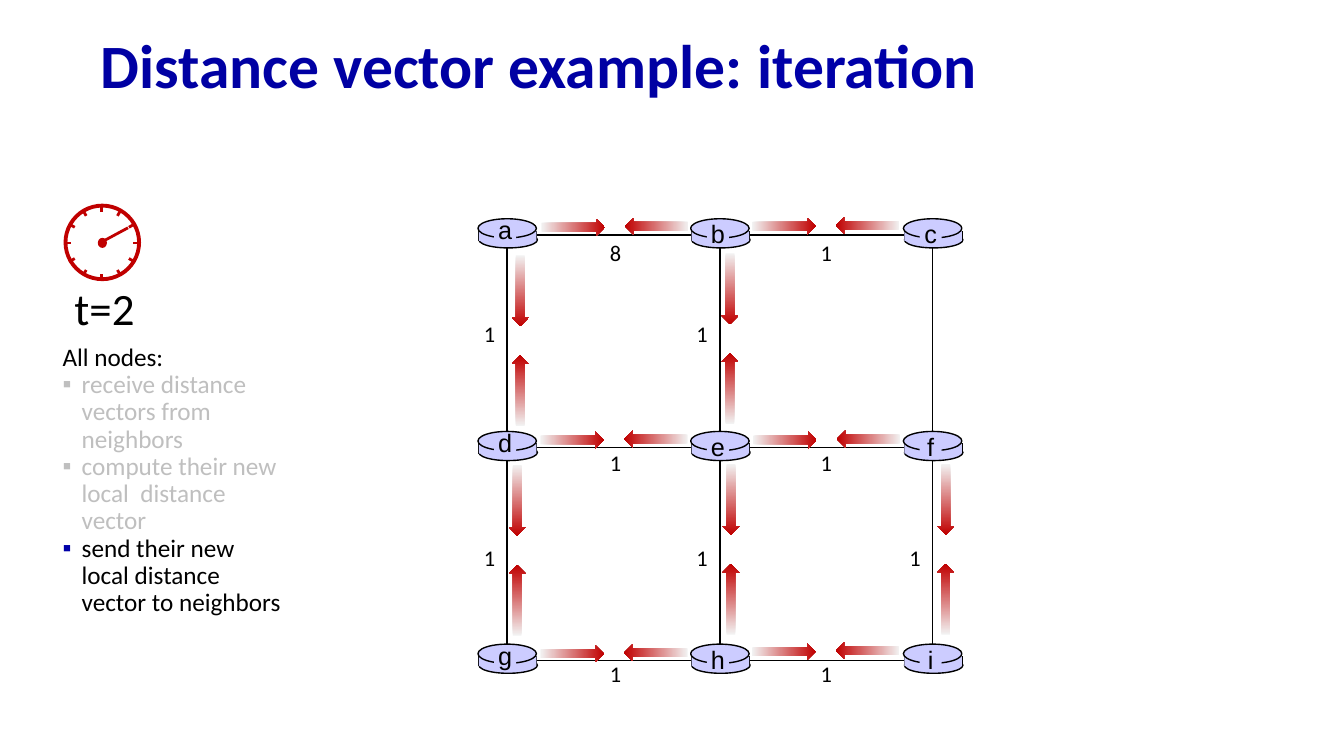
from math import cos, radians, sin

from lxml.etree import SubElement
from pptx import Presentation
from pptx.dml.color import RGBColor
from pptx.enum.shapes import MSO_CONNECTOR as CONN, MSO_SHAPE as SHAPE
from pptx.enum.text import MSO_ANCHOR as ANCHOR, MSO_AUTO_SIZE as AUTO, PP_ALIGN as ALIGN
from pptx.oxml.ns import qn
from pptx.util import Inches, Pt

BLACK = RGBColor(0x00, 0x00, 0x00)
NAVY = RGBColor(0x00, 0x00, 0xA3)
BLUE = RGBColor(0x00, 0x00, 0xA8)
GRAY = RGBColor(0xBF, 0xBF, 0xBF)
PALE = RGBColor(0xF2, 0xF2, 0xF2)
RED = RGBColor(0xC0, 0x00, 0x00)
LILAC = RGBColor(0xCC, 0xCC, 0xFF)

GRID_X, GRID_Y, STEP = 5.03, 2.33, 2.11
NODES = ["abc", "def", "ghi"]
COSTS_ACROSS = [["8", "1"], ["1", "1"], ["1", "1"]]
COSTS_DOWN = [["1", "1", ""], ["1", "1", "1"]]
# Corner of the first arrow of each pair that meets on a link
PAIRS_ACROSS = [(5.37, 2.17), (7.46, 2.16), (5.36, 4.28),
                (7.47, 4.28), (5.36, 6.4), (7.46, 6.38)]
PAIRS_DOWN = [(4.81, 2.8), (6.89, 2.78), (4.78, 4.88), (6.9, 4.87), (9.03, 4.87)]
TASKS = [("receive distance vectors from neighbors", GRAY, GRAY),
         ("compute their new local  distance vector", GRAY, GRAY),
         ("send their new local distance vector to neighbors", BLACK, BLUE)]


def set_attrs(target, values):
    for name, value in values.items():
        setattr(target, name, value)


def place(shape, x, y, w, h):
    set_attrs(shape, {"left": Inches(x), "top": Inches(y),
                      "width": Inches(w), "height": Inches(h)})


def add_run(p, text, size, color, font="Calibri", bold=False):
    r = p.add_run()
    r.text = text
    set_attrs(r.font, {"name": font, "size": Pt(size), "bold": bold})
    r.font.color.rgb = color


def add_label(s, x, y, w, h, text, size, font="Calibri", align=ALIGN.LEFT):
    tf = s.shapes.add_textbox(Inches(x), Inches(y), Inches(w), Inches(h)).text_frame
    tf.word_wrap = False
    tf.paragraphs[0].alignment = align
    add_run(tf.paragraphs[0], text, size, BLACK, font)


def add_block(s, kind, x, y, w, h, fill=None, line=None, width=1):
    sp = s.shapes.add_shape(kind, Inches(x), Inches(y), Inches(w), Inches(h))
    sp.shadow.inherit = False
    if fill is None:
        sp.fill.background()
    else:
        sp.fill.solid()
        sp.fill.fore_color.rgb = fill
    if line is None:
        sp.line.fill.background()
    else:
        sp.line.color.rgb = line
        sp.line.width = Pt(width)
    return sp


def add_line(s, x1, y1, x2, y2, color=BLACK, width=1):
    c = s.shapes.add_connector(CONN.STRAIGHT, Inches(x1), Inches(y1), Inches(x2), Inches(y2))
    c.line.color.rgb = color
    c.line.width = Pt(width)
    SubElement(c._element.spPr, qn("a:effectLst"))
    return c


def add_arrow(s, x, y, length, rotation):
    sp = add_block(s, SHAPE.RIGHT_ARROW, x, y, length, 0.17)
    sp.rotation = rotation
    sp.fill.gradient()
    sp.fill.gradient_angle = 0
    for stop, position, color in zip(sp.fill.gradient_stops, (0, 1), (PALE, RED)):
        stop.position = position
        stop.color.rgb = color


def add_router(s, x, y, letter, lift):
    add_block(s, SHAPE.OVAL, x + 0.01, y + 0.13, 0.58, 0.16, LILAC, BLACK)
    for side in (x + 0.01, x + 0.58):
        add_line(s, side, y + 0.12, side, y + 0.22)
    add_block(s, SHAPE.RECTANGLE, x + 0.01, y + 0.12, 0.57, 0.1, LILAC)
    add_block(s, SHAPE.OVAL, x, y, 0.58, 0.19, LILAC, BLACK)
    add_block(s, SHAPE.RECTANGLE, x + 0.16, y + 0.05, 0.22, 0.2, LILAC)
    add_label(s, x + 0.1, y - 0.05 - lift, 0.34, 0.4, letter, 18, "Arial", ALIGN.CENTER)


def add_network(s):
    # Links: a square frame and its two middle lines
    frame = add_block(s, SHAPE.RECTANGLE, GRID_X, GRID_Y, 2 * STEP, 2 * STEP, line=BLACK)
    mid_x, mid_y = GRID_X + STEP, GRID_Y + STEP
    for start, end, ends in ((2, 0, (mid_x, GRID_Y + 2 * STEP, mid_x, GRID_Y)),
                             (1, 3, (GRID_X, mid_y, GRID_X + 2 * STEP, mid_y))):
        c = add_line(s, *ends)
        c.begin_connect(frame, start)
        c.end_connect(frame, end)

    # Link costs
    for row, costs in enumerate(COSTS_ACROSS):
        for col, cost in enumerate(costs):
            add_label(s, 5.95 + 2.09 * col, 2.32 + 2.09 * row, 0.33, 0.37, cost, 16)
    for row, costs in enumerate(COSTS_DOWN):
        for col, cost in enumerate(costs):
            if cost:
                add_label(s, 4.7 + STEP * col, 3.13 + 2.22 * row, 0.33, 0.37, cost, 16)

    # Messages sent both ways
    for x, y in PAIRS_DOWN:
        add_arrow(s, x, y, 0.7, 90)
        add_arrow(s, x, y + 0.99, 0.7, 270)
    for x, y in PAIRS_ACROSS:
        add_arrow(s, x, y, 0.63, 0)
        add_arrow(s, x + 0.83, y - 0.01, 0.63, 180)

    # Routers
    for row, letters in enumerate(NODES):
        for col, letter in enumerate(letters):
            add_router(s, 4.74 + STEP * col, 2.17 + STEP * row, letter,
                       0.04 if col == 0 else 0)


def add_clock(s):
    cx, cy = 1.01, 2.41
    add_label(s, 0.64, 2.74, 0.81, 0.64, "t=2", 32)
    add_block(s, SHAPE.OVAL, cx - 0.36, cy - 0.37, 0.73, 0.73, line=RED, width=2.75)
    for hour in range(12):
        dx, dy = cos(radians(30 * hour)), sin(radians(30 * hour))
        add_line(s, cx + 0.31 * dx, cy + 0.31 * dy, cx + 0.37 * dx, cy + 0.37 * dy, RED, 2)
    add_block(s, SHAPE.OVAL, cx - 0.04, cy - 0.05, 0.09, 0.1, RED)
    add_line(s, 1.27, 2.26, cx, 2.4, RED, 2)


def set_bullet(p, color):
    pPr = p._p.get_or_add_pPr()
    indent = Inches(0.19) if color else 0
    pPr.set("marL", str(indent))
    pPr.set("indent", str(-indent))
    if color is None:
        SubElement(pPr, qn("a:buNone"))
        return
    clr = SubElement(pPr, qn("a:buClr"))
    SubElement(clr, qn("a:srgbClr"), val=str(color))
    SubElement(pPr, qn("a:buFont"), typeface="Arial")
    SubElement(pPr, qn("a:buChar"), char="▪")


def fill_title(title):
    place(title, 0.9, 0.19, 11.5, 0.98)
    tf = title.text_frame
    set_attrs(tf, {"vertical_anchor": ANCHOR.MIDDLE, "word_wrap": True,
                   "auto_size": AUTO.NONE})
    p = tf.paragraphs[0]
    set_attrs(p, {"alignment": ALIGN.LEFT, "line_spacing": 0.9})
    add_run(p, "Distance vector example: ", 44, NAVY, bold=True)
    add_run(p, "iteration", 44, BLUE, bold=True)


def fill_tasks(body):
    place(body, 0.52, 3.37, 2.4, 2.83)
    tf = body.text_frame
    set_attrs(tf, {"vertical_anchor": ANCHOR.TOP, "word_wrap": True,
                   "auto_size": AUTO.NONE})
    for i, (text, color, bullet) in enumerate([("All nodes:", BLACK, None)] + TASKS):
        p = tf.paragraphs[0] if i == 0 else tf.add_paragraph()
        set_attrs(p, {"alignment": ALIGN.LEFT, "line_spacing": 0.9,
                      "space_before": Pt(0), "space_after": Pt(0)})
        set_bullet(p, bullet)
        add_run(p, text, 18, color)


def main():
    prs = Presentation()
    set_attrs(prs, {"slide_width": Inches(13.33), "slide_height": Inches(7.5)})
    s = prs.slides.add_slide(prs.slide_layouts[1])
    fill_title(s.shapes.title)
    fill_tasks(s.placeholders[1])
    add_network(s)
    add_clock(s)
    prs.save("out.pptx")


if __name__ == "__main__":
    main()
